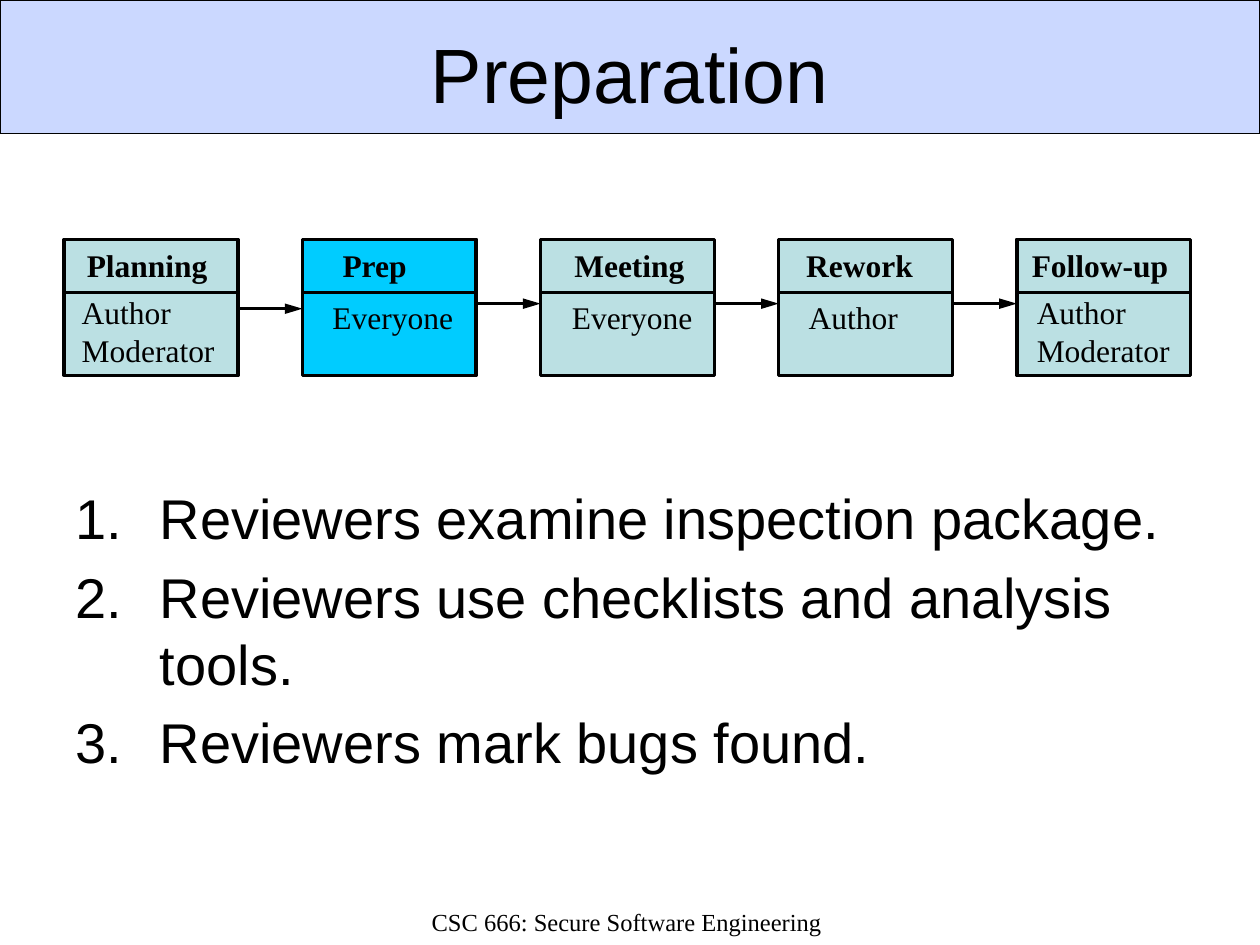
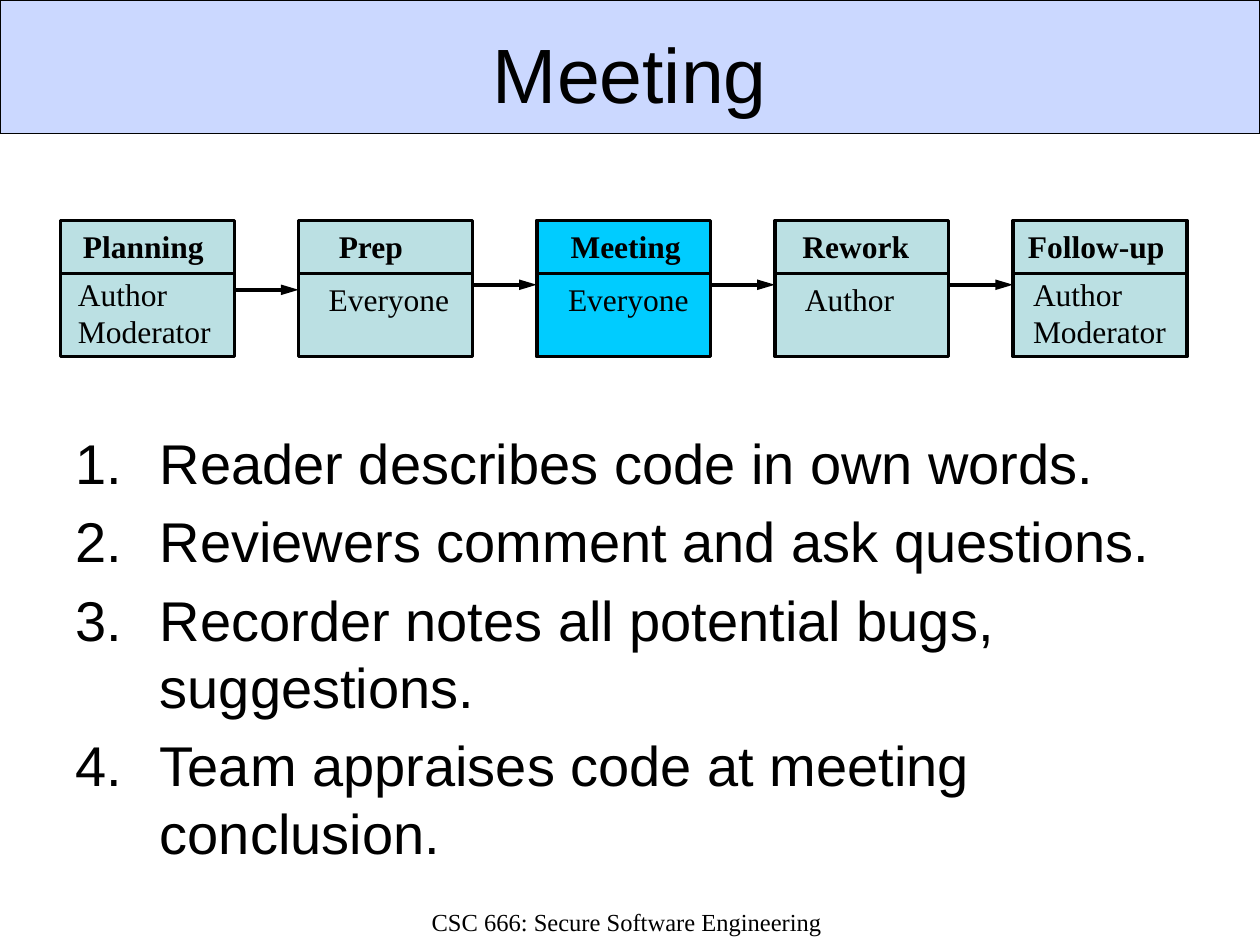
from lxml import etree
from pptx import Presentation
from pptx.dml.color import RGBColor
from pptx.enum.shapes import MSO_CONNECTOR, MSO_SHAPE
from pptx.enum.text import MSO_ANCHOR, PP_ALIGN
from pptx.oxml.ns import qn
from pptx.util import Inches, Pt

RECT = MSO_SHAPE.RECTANGLE
LINE = MSO_CONNECTOR.STRAIGHT
LEFT, CENTER = PP_ALIGN.LEFT, PP_ALIGN.CENTER
TOP, MIDDLE = MSO_ANCHOR.TOP, MSO_ANCHOR.MIDDLE

COLORS = {"ink": "000000", "band": "3366FF", "step": "BBE0E3", "active": "00CCFF"}
SANS, SERIF = "Arial", "Times New Roman"
FOOTER = "CSC 666: Secure Software Engineering"
PITCH, WIDTH, HEIGHT, SPLIT = 1.89, 1.38, 1.08, 0.42
LABEL = 1.35

STEPS = [
    ("Planning", 0.08, ["Author", "Moderator"], 0.04),
    ("Prep", 0.22, ["Everyone"], 0.14),
    ("Meeting", 0.17, ["Everyone"], 0.15),
    ("Rework", 0.12, ["Author"], 0.14),
    ("Follow-up", 0.02, ["Author", "Moderator"], 0.06),
]

SLIDES = [
    {"title": "Preparation", "active": "Prep", "flow": (0.51, 1.9),
     "list": (3.79, 2.6), "items": [
         "Reviewers examine inspection package.",
         "Reviewers use checklists and analysis tools.",
         "Reviewers mark bugs found."]},
    {"title": "Meeting", "active": "Meeting", "flow": (0.48, 1.75),
     "list": (3.35, 3.49), "items": [
         "Reader describes code in own words.",
         "Reviewers comment and ask questions.",
         "Recorder notes all potential bugs, suggestions.",
         "Team appraises code at meeting conclusion."]},
]


def color(name):
    return RGBColor.from_string(COLORS[name])


def add_text(slide, lines, x, y, w, h, size=18, font=SERIF, bold=False,
             align=LEFT, anchor=TOP, number=False):
    frame = slide.shapes.add_textbox(
        Inches(x), Inches(y), Inches(w), Inches(h)).text_frame
    frame.word_wrap = True
    frame.vertical_anchor = anchor
    for i, line in enumerate(lines):
        para = frame.add_paragraph() if i else frame.paragraphs[0]
        para.alignment = align
        run = para.add_run()
        run.text = line
        run.font.size, run.font.name, run.font.bold = Pt(size), font, bold
        run.font.color.rgb = color("ink")
        if number:
            para.space_before = Pt(size * 0.2)
            props = para._p.get_or_add_pPr()
            props.set("marL", str(Inches(0.67)))
            props.set("indent", str(-Inches(0.67)))
            etree.SubElement(props, qn("a:buAutoNum"), type="arabicPeriod")


def add_rect(slide, x, y, w, h, fill, width=2, alpha=None):
    rect = slide.shapes.add_shape(RECT, Inches(x), Inches(y), Inches(w), Inches(h))
    rect.shadow.inherit = False
    rect.fill.solid()
    rect.fill.fore_color.rgb = color(fill)
    rect.line.color.rgb = color("ink")
    rect.line.width = Pt(width)
    if alpha:
        tone = rect._element.spPr.find(qn("a:solidFill"))[0]
        etree.SubElement(tone, qn("a:alpha"), val=str(alpha * 1000))


def add_line(slide, x, y, w, arrow=False):
    line = slide.shapes.add_connector(
        LINE, Inches(x), Inches(y), Inches(x + w), Inches(y))
    line.line.color.rgb = color("ink")
    line.line.width = Pt(2)
    if arrow:
        etree.SubElement(line.line._get_or_add_ln(), qn("a:tailEnd"),
                         type="triangle", w="med", len="lg")
    etree.SubElement(line._element.spPr, qn("a:effectLst"))


def add_frame(slide, title):
    add_rect(slide, 0, 0, 10, 1.06, "band", width=0.75, alpha=25)
    add_text(slide, [FOOTER], 1.61, 7.15, 6.73, 0.35, size=14, align=CENTER)
    add_text(slide, [title], 0.5, 0.17, 9, 0.82, size=44, font=SANS,
             align=CENTER, anchor=MIDDLE)


def add_flow(slide, left, top, active):
    for i, (name, inset, roles, indent) in enumerate(STEPS):
        x = left + i * PITCH
        add_rect(slide, x, top, WIDTH, HEIGHT,
                 "active" if name == active else "step")
        add_line(slide, x, top + SPLIT, WIDTH)
        add_text(slide, [name], x + inset, top, LABEL, 0.4, bold=True)
        drop = SPLIT - 0.04 * (len(roles) - 1)
        add_text(slide, roles, x + indent, top + drop, LABEL, 0.3 * len(roles) + 0.1)
    for i in range(len(STEPS) - 1):
        add_line(slide, left + i * PITCH + WIDTH, top + (0.51 if i else 0.55),
                 PITCH - WIDTH, arrow=True)


def main():
    deck = Presentation()
    deck.slide_width, deck.slide_height = Inches(10), Inches(7.5)
    for page in SLIDES:
        slide = deck.slides.add_slide(deck.slide_layouts[6])
        add_frame(slide, page["title"])
        y, h = page["list"]
        add_text(slide, page["items"], 0.5, y, 9.2, h, size=32, font=SANS,
                 number=True)
        add_flow(slide, *page["flow"], page["active"])
    deck.save("out.pptx")


main()
